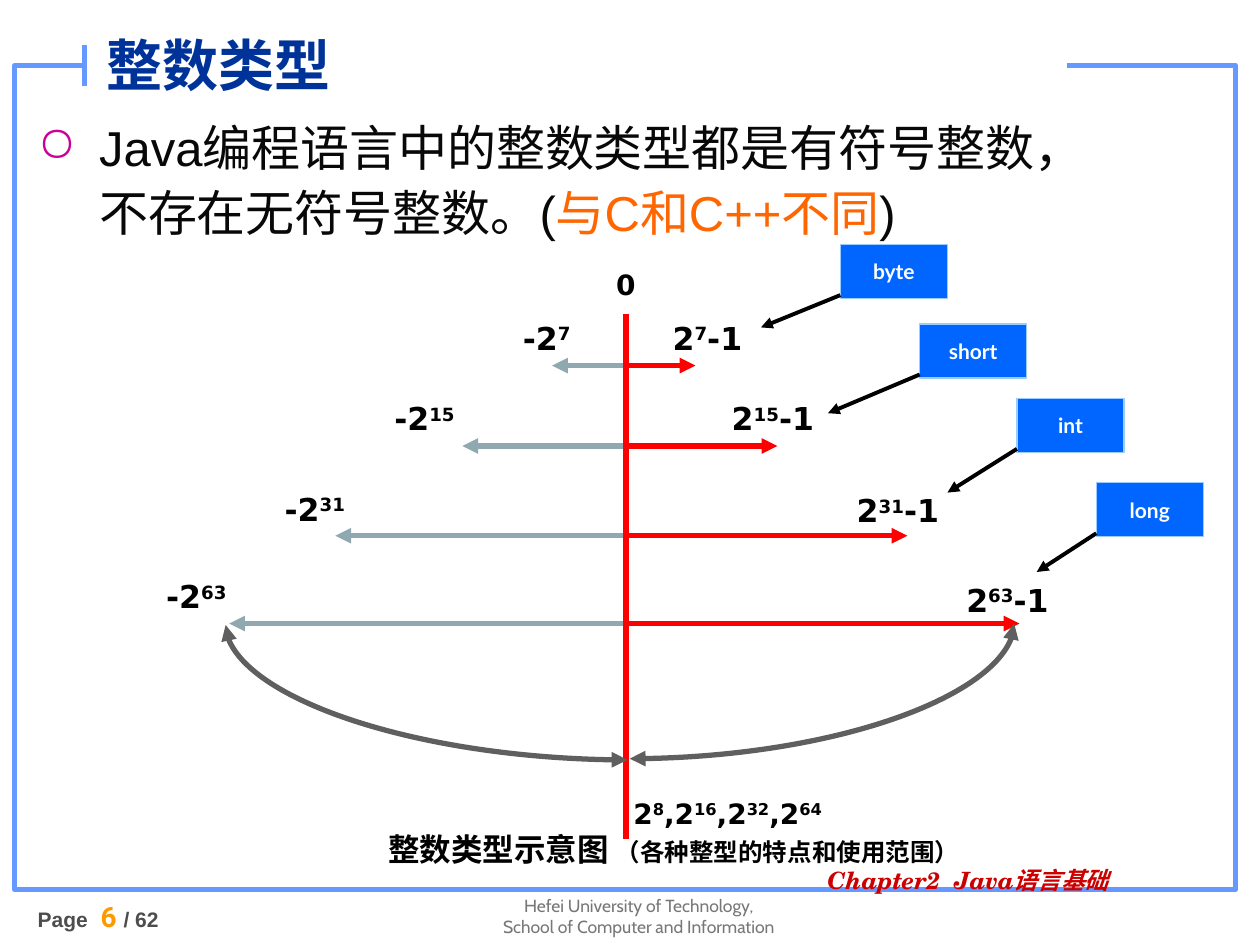
from lxml import etree
from pptx import Presentation
from pptx import util as u
from pptx.dml.color import RGBColor
from pptx.enum import shapes, text
from pptx.oxml.ns import qn

Cm, Pt = u.Cm, u.Pt
COLORS = {
    "frame": "6699FF", "white": "FFFFFF", "title": "003399", "body": "080808",
    "accent": "FF6600", "bullet": "CC0099", "footer": "777777", "page": "4D4D4D",
    "number": "FF9900", "chapter": "CC0000", "black": "000000", "positive": "FF0000",
    "negative": "90A8B0", "curve": "5F5F5F", "tag": "0066FF", "tag_edge": "99CCFF",
}
LABEL = {"name": "DejaVu Sans", "size": 18, "bold": True, "color": "black"}
POWERS = LABEL | {"size": 16}
AXIS_X = 12.62
TAG_SIZE = (2.16, 1.09)
# type, exponent, arrow y, (left end, right end), negative label (x, y, width),
# positive label (x, y, width), tag (x, y), pointer tip (x, y)
TYPES = [
    ("byte", "7", 7.37, (11.13, 14.02), (10.29, 6.3, 1.78), (13.31, 6.3, 2.16),
     (16.94, 4.93), (15.34, 6.6)),
    ("short", "15", 8.99, (9.32, 15.67), (7.7, 7.92, 2.69), (14.5, 7.92, 2.34),
     (18.54, 6.53), (16.69, 8.33)),
    ("int", "31", 10.8, (6.76, 18.29), (5.49, 9.75, 2.41), (17.02, 9.78, 2.54),
     (20.5, 8.03), (19.1, 9.93)),
    ("long", "63", 12.57, (4.62, 20.55), (3.1, 11.51, 2.49), (19.23, 11.58, 2.46),
     (22.1, 9.73), (20.9, 11.53)),
]


def rgb(name):
    return RGBColor.from_string(COLORS[name])


def write(para, content, style, raised=False):
    """Append a span; a line feed in the content becomes a line break."""
    for index, piece in enumerate(content.split("\n")):
        if index:
            para.add_line_break()
        span = para.add_run()
        span.text = piece
        for key, value in style.items():
            if key == "color":
                span.font.color.rgb = rgb(value)
            else:
                setattr(span.font, key, Pt(value) if key == "size" else value)
        if raised:
            span._r.get_or_add_rPr().set("baseline", "30000")


def write_powers(para, pieces, style):
    """Write pieces in turn as normal text and superscript."""
    for index, piece in enumerate(pieces):
        write(para, piece, style, raised=index % 2 == 1)


def add_text(parent, left, top, width, height, wrap=True, **para_format):
    """Add a text box and return its first paragraph."""
    box = parent.add_textbox(Cm(left), Cm(top), Cm(width), Cm(height))
    box.text_frame.word_wrap = wrap
    para = box.text_frame.paragraphs[0]
    for key, value in para_format.items():
        setattr(para, key, value)
    return para


def add_rectangle(parent, left, top, width, height, fill=None, edge=None, weight=0.75):
    box = parent.add_shape(shapes.MSO_SHAPE.RECTANGLE, Cm(left), Cm(top), Cm(width), Cm(height))
    box.shadow.inherit = False
    if fill:
        box.fill.solid()
        box.fill.fore_color.rgb = rgb(fill)
    else:
        box.fill.background()
    if edge:
        box.line.color.rgb = rgb(edge)
        box.line.width = Pt(weight)
    else:
        box.line.fill.background()
    return box


def add_line(parent, start, end, color, weight=3, heads=(), kind=shapes.MSO_CONNECTOR.STRAIGHT):
    """Add a connector; heads lists the ends (headEnd, tailEnd) that get a triangle."""
    line = parent.add_connector(kind, *(Cm(value) for value in (*start, *end)))
    line.line.color.rgb = rgb(color)
    line.line.width = Pt(weight)
    stroke = line.line._get_or_add_ln()
    for head in heads:
        etree.SubElement(stroke, qn(f"a:{head}"), type="triangle")
    etree.SubElement(line._element.spPr, qn("a:effectLst"))
    return line


def add_curve(parent, left, top, width, height, **turn):
    """Add a quarter curve with two arrowheads, turned by xfrm attributes."""
    curve = add_line(parent, (left, top), (left + width, top + height), "curve",
                     heads=("headEnd", "tailEnd"), kind=shapes.MSO_CONNECTOR.CURVE)
    properties = curve._element.spPr
    properties.find(qn("a:prstGeom")).set("prst", "curvedConnector2")
    for key, value in turn.items():
        properties.find(qn("a:xfrm")).set(key, value)


def add_tag(parent, left, top, name):
    box = add_rectangle(parent, left, top, *TAG_SIZE, fill="tag", edge="tag_edge")
    box.text_frame.word_wrap = False
    box.text_frame.vertical_anchor = text.MSO_ANCHOR.MIDDLE
    para = box.text_frame.paragraphs[0]
    para.alignment = text.PP_ALIGN.CENTER
    write(para, name, {"name": "Lato", "size": 12, "bold": True, "color": "white"})


def add_frame(parent):
    add_rectangle(parent, 0.3, 1.32, 24.61, 16.61, edge="frame", weight=3)
    add_rectangle(parent, 1.7, 0.71, 19.81, 0.89, fill="white")
    add_line(parent, (1.7, 0.91), (1.7, 1.73), "frame")


def add_footer(parent):
    school = add_text(parent, 9.65, 17.91, 6.45, 1.52, alignment=text.PP_ALIGN.CENTER)
    write(school, "Hefei University of Technology,\nSchool of Computer and Information",
          {"name": "Cabin", "size": 10, "color": "footer"})
    gray = {"name": "Arial", "size": 12, "bold": True, "color": "page"}
    number = {"name": "Roboto", "size": 16, "bold": True, "color": "number"}
    para = add_text(parent, 0.51, 18.01, 4.6, 1.7)
    for content, style in (("Page ", gray), (" 6 ", number), ("/ 62", gray)):
        write(para, content, style)
    chapter = add_text(parent, 16.43, 17.4, 7.8, 0.89, line_spacing=0.9)
    write(chapter, "Chapter2  Java语言基础", {"name": "TeX Gyre Schola", "size": 13.6,
          "bold": True, "italic": True, "color": "chapter"})


def add_statement(parent):
    title = add_text(parent, 1.9, 0.28, 17.2, 2.03)
    title._parent.vertical_anchor = text.MSO_ANCHOR.MIDDLE
    write(title, "整数类型", {"name": "Arial", "size": 32, "bold": True, "color": "title"})

    para = add_text(parent, 0.51, 2.13, 24.21, 3, line_spacing=1.1)
    properties = para._p.get_or_add_pPr()
    properties.set("marL", str(Cm(1.24)))
    properties.set("indent", str(-Cm(1.24)))
    bullet_color = etree.SubElement(properties, qn("a:buClr"))
    etree.SubElement(bullet_color, qn("a:srgbClr"), val=COLORS["bullet"])
    etree.SubElement(properties, qn("a:buChar"), char="○")
    for content, color in (("Java编程语言中的整数类型都是有符号整数，\n不存在无符号整数。(", "body"),
                           ("与C和C++不同", "accent"), (")", "body")):
        write(para, content, {"name": "Arial", "size": 28, "color": color})


def add_range(parent, name, exponent, y, ends, negative, positive, tag, tip):
    """Draw the two arrows, limits and tag of one integer type."""
    for end, color in zip(ends, ("negative", "positive")):
        add_line(parent, (AXIS_X - 0.05, y), (end, y), color, heads=("tailEnd",))
    for (left, top, width), pieces in ((negative, ("-2", exponent)),
                                       (positive, ("2", exponent, "-1"))):
        write_powers(add_text(parent, left, top, width, 1.02), pieces, LABEL)
    add_tag(parent, *tag, name)
    add_line(parent, (tag[0], tag[1] + 1.02), tip, "black", 2.25, ("tailEnd",))


def add_caption(parent):
    sizes = add_text(parent, 6.65, 15.93, 13.87, 1.7)
    sizes._p.get_or_add_pPr().set("marL", str(Cm(5.87)))
    write_powers(sizes, ("2", "8", ",2", "16", ",2", "32", ",2", "64"), POWERS)
    caption = sizes._parent.add_paragraph()
    caption.alignment = text.PP_ALIGN.CENTER
    write(caption, "整数类型示意图 ", LABEL | {"name": "Arial"})
    write(caption, "（各种整型的特点和使用范围）", LABEL | {"size": 14})


def main():
    deck = Presentation()
    deck.slide_width, deck.slide_height = Cm(25.4), Cm(19.05)
    page = deck.slides.add_slide(deck.slide_layouts[6])
    add_frame(page.shapes)
    add_footer(page.shapes)
    add_statement(page.shapes)

    diagram = page.shapes.add_group_shape().shapes
    for row in TYPES:
        add_range(diagram, *row)
    add_line(diagram, (AXIS_X, 6.32), (AXIS_X, 16.92), "positive")
    write(add_text(diagram, 12.17, 5.26, 0.81, 0.94, wrap=False), "0", POWERS)
    add_curve(diagram, 7.24, 9.91, 2.72, 8.1, rot="16200000", flipH="1")
    add_curve(diagram, 15.21, 10.06, 2.72, 7.75, rot="5400000")
    add_caption(diagram)
    deck.save("out.pptx")


if __name__ == "__main__":
    main()
